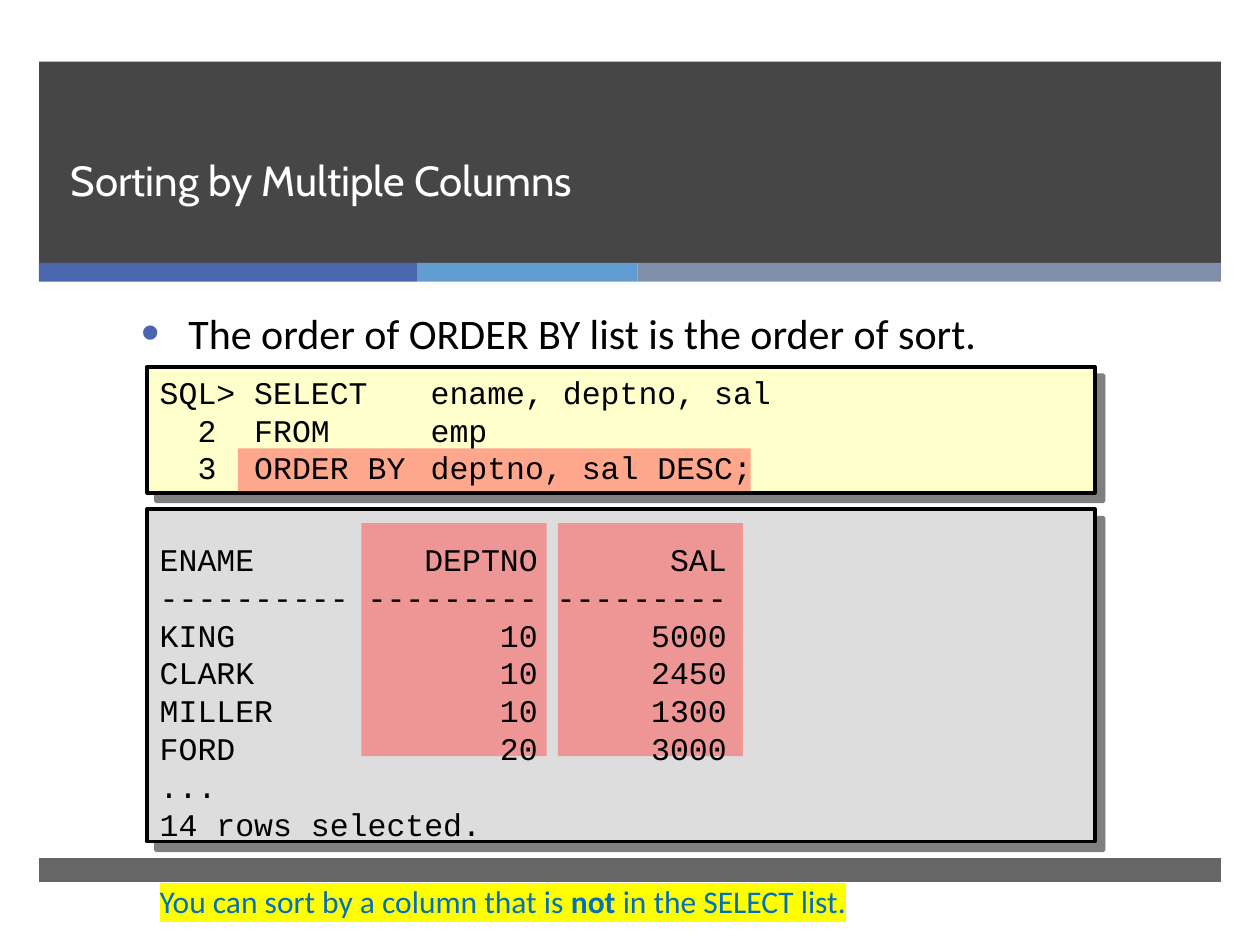
from lxml.etree import SubElement
from pptx import Presentation
from pptx.dml.color import RGBColor
from pptx.enum.shapes import MSO_SHAPE
from pptx.enum.text import MSO_ANCHOR, MSO_AUTO_SIZE
from pptx.oxml.ns import qn
from pptx.util import Pt

WHITE = RGBColor(0xFF, 0xFF, 0xFF)
BLACK = RGBColor(0x00, 0x00, 0x00)
CHARCOAL = RGBColor(0x26, 0x26, 0x26)
BLUE = RGBColor(0x4A, 0x66, 0xAC)
SKY = RGBColor(0x62, 0x9D, 0xD1)
SLATE = RGBColor(0x7F, 0x8F, 0xA9)
NOTE_BLUE = RGBColor(0x00, 0x70, 0xC0)
YELLOW = RGBColor(0xFF, 0xFF, 0x00)
CREAM = RGBColor(0xFF, 0xFF, 0xCC)
GRAY = RGBColor(0xDD, 0xDD, 0xDD)
RED = RGBColor(0xFF, 0x50, 0x50)

QUERY = [
    "SQL> SELECT\t ename, deptno, sal",
    "  2  FROM \t emp",
    "  3  ORDER BY\t deptno, sal DESC;",
]
ROWS = [
    ("ENAME", "DEPTNO", "SAL"),
    ("-" * 10, "-" * 9, "-" * 9),
    ("KING", 10, 5000),
    ("CLARK", 10, 2450),
    ("MILLER", 10, 1300),
    ("FORD", 20, 3000),
]
RESULT = [f"{name:<10} {department:>9} {salary:>9}" for name, department, salary in ROWS]
RESULT += ["...", "14 rows selected."]


def add_xml(parent, tag, **attributes):
    return SubElement(parent, qn(tag), {key: str(value) for key, value in attributes.items()})


def place(shape, left, top, width, height):
    shape.left, shape.top, shape.width, shape.height = map(Pt, (left, top, width, height))


def add_run(paragraph, text, *, font, size, color, bold=False, highlight=None):
    run = paragraph.add_run()
    run.text = text
    run.font.name = font
    run.font.size = Pt(size)
    run.font.bold = bold
    run.font.color.rgb = color
    if highlight is not None:
        properties = run.font._element
        mark = add_xml(properties, "a:highlight")
        add_xml(mark, "a:srgbClr", val=highlight)
        properties.find(qn("a:latin")).addprevious(mark)


def add_box(slide, box, color, opacity=100, outlined=False):
    shape = slide.shapes.add_shape(MSO_SHAPE.RECTANGLE, *map(Pt, box))
    shape.shadow.inherit = False
    shape.fill.solid()
    shape.fill.fore_color.rgb = color
    if opacity < 100:
        fill_color = shape._element.spPr.find(qn("a:solidFill"))[0]
        add_xml(fill_color, "a:alpha", val=opacity * 1000)
    if outlined:
        shape.line.color.rgb = BLACK
        shape.line.width = Pt(2.25)
    else:
        shape.line.fill.background()
    return shape


def add_panel(slide, box, color):
    """Outlined box with a hard shadow to the lower right."""
    panel = add_box(slide, box, color, outlined=True)
    effects = panel._element.spPr.find(qn("a:effectLst"))
    shadow = add_xml(effects, "a:outerShdw", dist=Pt(7.1), dir=45 * 60000,
                     algn="ctr", rotWithShape=0)
    shadow_color = add_xml(shadow, "a:srgbClr", val=BLACK)
    add_xml(shadow_color, "a:alpha", val=50000)


def add_code(slide, box, lines):
    frame = slide.shapes.add_textbox(*map(Pt, box)).text_frame
    frame.word_wrap = False
    frame.vertical_anchor = MSO_ANCHOR.MIDDLE
    for index, line in enumerate(lines):
        paragraph = frame.paragraphs[0] if index == 0 else frame.add_paragraph()
        paragraph.line_spacing = Pt(21.6)
        tabs = add_xml(paragraph._element.get_or_add_pPr(), "a:tabLst")
        add_xml(tabs, "a:tab", pos=Pt(144), algn="l")
        add_run(paragraph, line, font="Courier New", size=18, color=BLACK)


def add_header(slide, left, top, width, height):
    # Dark band with a three-colour strip below
    strip = 10.8
    add_box(slide, (left, top, width, height - strip), CHARCOAL, 85)
    x = left
    for part, color in ((216, BLUE), (126, SKY), (width - 342, SLATE)):
        add_box(slide, (x, top + height - strip, part, strip), color)
        x += part

    # Title in front of the band
    title = slide.shapes.title
    slide.shapes._spTree.append(title._element)
    place(title, left + 10.8, top, 615, 85.7)
    frame = title.text_frame
    frame.auto_size = MSO_AUTO_SIZE.NONE
    frame.vertical_anchor = MSO_ANCHOR.BOTTOM
    paragraph = frame.paragraphs[0]
    paragraph.alignment = 1
    paragraph.line_spacing = Pt(46)
    add_run(paragraph, "Sorting by Multiple Columns", font="Cabin", size=24, color=WHITE)


def add_rule(slide, left, top, width, height):
    body = slide.placeholders[1]
    place(body, left, top, width, height)
    frame = body.text_frame
    frame.auto_size = MSO_AUTO_SIZE.NONE
    paragraph = frame.paragraphs[0]
    paragraph.space_before = Pt(0)
    properties = paragraph._element.get_or_add_pPr()
    properties.set("marL", str(Pt(63)))
    properties.set("indent", str(Pt(-27)))
    add_xml(add_xml(properties, "a:buClr"), "a:srgbClr", val=BLUE)
    add_xml(properties, "a:buSzPct", val=125000)
    add_xml(properties, "a:buChar", char="•")
    add_run(paragraph, "The order of ORDER BY list is the order of sort.",
            font="Calibri", size=24, color=BLACK)


def add_query(slide, left, top, width, height):
    add_panel(slide, (left, top, width, height), CREAM)
    add_box(slide, (left + 51.8, top + 46.8, 293, 24.5), RED, 50)
    add_code(slide, (left, top, width, height), QUERY)


def add_result(slide, left, top, width, height):
    add_panel(slide, (left, top, width, height), GRAY)
    for column in range(2):
        add_box(slide, (left + 122.4 + column * 112.2, top + 8, 105.8, 133.2), RED, 50)
    add_code(slide, (left, top + 9, width, height), RESULT)


def add_note(slide, left, top, width, height):
    frame = slide.shapes.add_textbox(*map(Pt, (left, top, width, height))).text_frame
    frame.word_wrap = True
    for text, bold in (("You can sort by a column that is ", False), ("not", True),
                       (" in the SELECT list.", False)):
        add_run(frame.paragraphs[0], text, font="Calibri", size=18, color=NOTE_BLUE,
                bold=bold, highlight=YELLOW)


def main():
    presentation = Presentation()
    presentation.slide_width, presentation.slide_height = Pt(720), Pt(540)
    slide = presentation.slides.add_slide(presentation.slide_layouts[1])
    add_header(slide, 22.3, 35.2, 675.4, 125.8)
    add_box(slide, (22.3, 490.3, 675.4, 13.7), CHARCOAL, 70)  # footer band
    add_rule(slide, 37.4, 172.1, 610.6, 36)
    add_note(slide, 84.2, 500.4, 579.6, 28.8)
    add_query(slide, 84.2, 209.5, 541.4, 72)
    add_result(slide, 84.2, 290.9, 541.4, 190)
    presentation.save("out.pptx")


if __name__ == "__main__":
    main()
